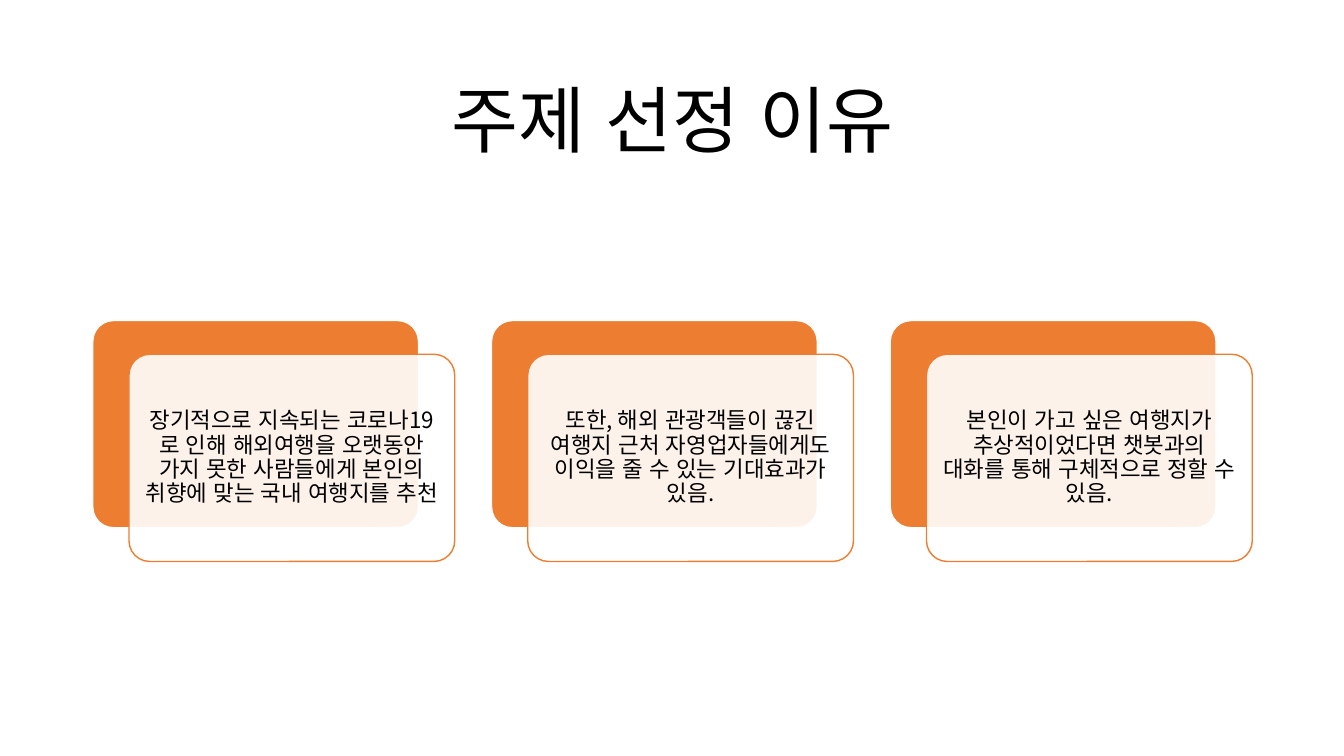
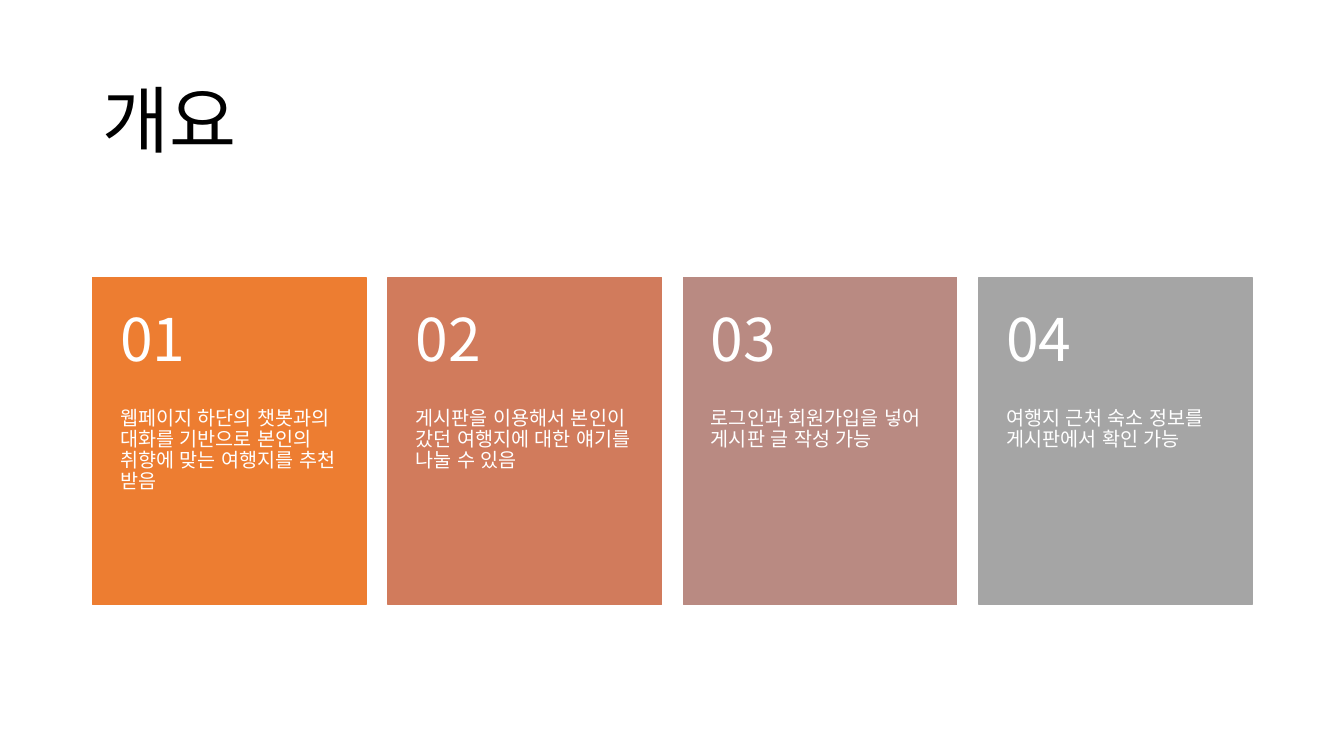
from lxml import etree
from pptx import Presentation
from pptx.dml.color import RGBColor
from pptx.enum.lang import MSO_LANGUAGE_ID
from pptx.enum.shapes import MSO_SHAPE
from pptx.enum.text import MSO_ANCHOR, MSO_AUTO_SIZE, PP_ALIGN
from pptx.oxml.ns import qn
from pptx.util import Inches, Pt

COLORS = {
    "text": "000000",
    "white": "FFFFFF",
    "orange": "ED7D31",
    "terracotta": "D17B5C",
    "rose": "B98A82",
    "gray": "A5A5A5",
}
FONT = "Noto Sans CJK KR"
SLIDE_W, SLIDE_H = 13.33, 7.5
MARGIN = 0.92
CONTENT_W = 11.5
TITLE_BOX = (MARGIN, 0.61, CONTENT_W, 1.24)

REASONS = [
    "장기적으로 지속되는 코로나19로 인해 해외여행을 오랫동안 가지 못한 사람들에게 본인의 취향에 맞는 국내 여행지를 추천",
    "또한, 해외 관광객들이 끊긴 여행지 근처 자영업자들에게도 이익을 줄 수 있는 기대효과가 있음.",
    "본인이 가고 싶은 여행지가 추상적이었다면 챗봇과의 대화를 통해 구체적으로 정할 수 있음.",
]
FEATURES = [
    ("orange", "웹페이지 하단의 챗봇과의 대화를 기반으로 본인의 취향에 맞는 여행지를 추천 받음"),
    ("terracotta", "게시판을 이용해서 본인이 갔던 여행지에 대한 얘기를 나눌 수 있음"),
    ("rose", "로그인과 회원가입을 넣어 게시판 글 작성 가능"),
    ("gray", "여행지 근처 숙소 정보를 게시판에서 확인 가능"),
]


def rgb(name):
    return RGBColor.from_string(COLORS[name])


def inches(box):
    return [Inches(v) for v in box]


def write(sp, text, size, color="text", align=PP_ALIGN.LEFT,
          anchor=MSO_ANCHOR.MIDDLE, insets=(0.1, 0.05, 0.1, 0.05)):
    """Fill a shape with one paragraph; insets are left, top, right, bottom."""
    tf = sp.text_frame
    tf.word_wrap = True
    tf.auto_size = MSO_AUTO_SIZE.NONE
    tf.vertical_anchor = anchor
    tf.margin_left, tf.margin_top, tf.margin_right, tf.margin_bottom = inches(insets)
    p = tf.paragraphs[0]
    p.alignment = align
    p.line_spacing = 0.9
    r = p.add_run()
    r.text = text
    r.font.size = Pt(size)
    r.font.name = FONT
    r.font.color.rgb = rgb(color)
    r.font.language_id = MSO_LANGUAGE_ID.KOREAN
    # East Asian letters take their typeface from a separate element
    ea = etree.SubElement(r.font._element, qn("a:ea"))
    ea.set("typeface", FONT)


def add_box(s, kind, box, fill, line, opacity=None):
    sp = s.shapes.add_shape(kind, *inches(box))
    sp.shadow.inherit = False
    sp.fill.solid()
    sp.fill.fore_color.rgb = rgb(fill)
    sp.line.color.rgb = rgb(line)
    sp.line.width = Pt(1)
    if kind == MSO_SHAPE.ROUNDED_RECTANGLE:
        sp.adjustments[0] = 0.1
    if opacity is not None:
        color = sp.fill._xPr.find(".//" + qn("a:srgbClr"))
        etree.SubElement(color, qn("a:alpha")).set("val", str(opacity * 1000))
    return sp


def add_title_slide(prs, title, align):
    """Add a title-only slide with the shared title style."""
    s = prs.slides.add_slide(prs.slide_layouts[5])
    sp = s.shapes.title
    sp.left, sp.top, sp.width, sp.height = inches(TITLE_BOX)
    write(sp, title, 52, align=align)
    return s


def row_of_boxes(count, top, width, height):
    """Boxes spread evenly from the left to the right margin."""
    step = (CONTENT_W - width) / (count - 1)
    return [(MARGIN + i * step, top, width, height) for i in range(count)]


def add_reason_card(s, box, text):
    """Orange plate with a translucent panel shifted down and right."""
    x, y, w, h = box
    dx, dy = 0.1 * w, 0.14 * h
    plate_w, plate_h = w - dx, h - dy
    kind = MSO_SHAPE.ROUNDED_RECTANGLE
    add_box(s, kind, (x, y, plate_w, plate_h), "orange", "white")
    panel = add_box(s, kind, (x + dx, y + dy, plate_w, plate_h),
                    "white", "orange", opacity=90)
    write(panel, text, 16, align=PP_ALIGN.CENTER, insets=[0.07] * 4)


def add_feature_card(s, box, number, color, text):
    """Coloured card: number in the top 40 %, description below."""
    x, y, w, h = box
    head_h, pad = 0.4 * h, 0.1 * w
    card = add_box(s, MSO_SHAPE.RECTANGLE, box, color, color)
    write(card, text, 14, color="white", anchor=MSO_ANCHOR.TOP,
          insets=(pad, head_h, pad, 0.36))
    head = s.shapes.add_textbox(*inches((x, y, w, head_h)))
    write(head, f"{number:02d}", 42, color="white", insets=(pad, 0.18, pad, 0.18))


def build_reasons(prs):
    s = add_title_slide(prs, "주제 선정 이유", PP_ALIGN.CENTER)
    boxes = row_of_boxes(len(REASONS), 3.18, 3.59, 2.39)
    for box, text in zip(boxes, REASONS):
        add_reason_card(s, box, text)


def build_overview(prs):
    s = add_title_slide(prs, "개요", PP_ALIGN.LEFT)
    boxes = row_of_boxes(len(FEATURES), 2.75, 2.71, 3.25)
    for number, (box, (color, text)) in enumerate(zip(boxes, FEATURES), 1):
        add_feature_card(s, box, number, color, text)


def main():
    prs = Presentation()
    prs.slide_width, prs.slide_height = inches((SLIDE_W, SLIDE_H))
    build_reasons(prs)
    build_overview(prs)
    prs.save("out.pptx")


if __name__ == "__main__":
    main()
